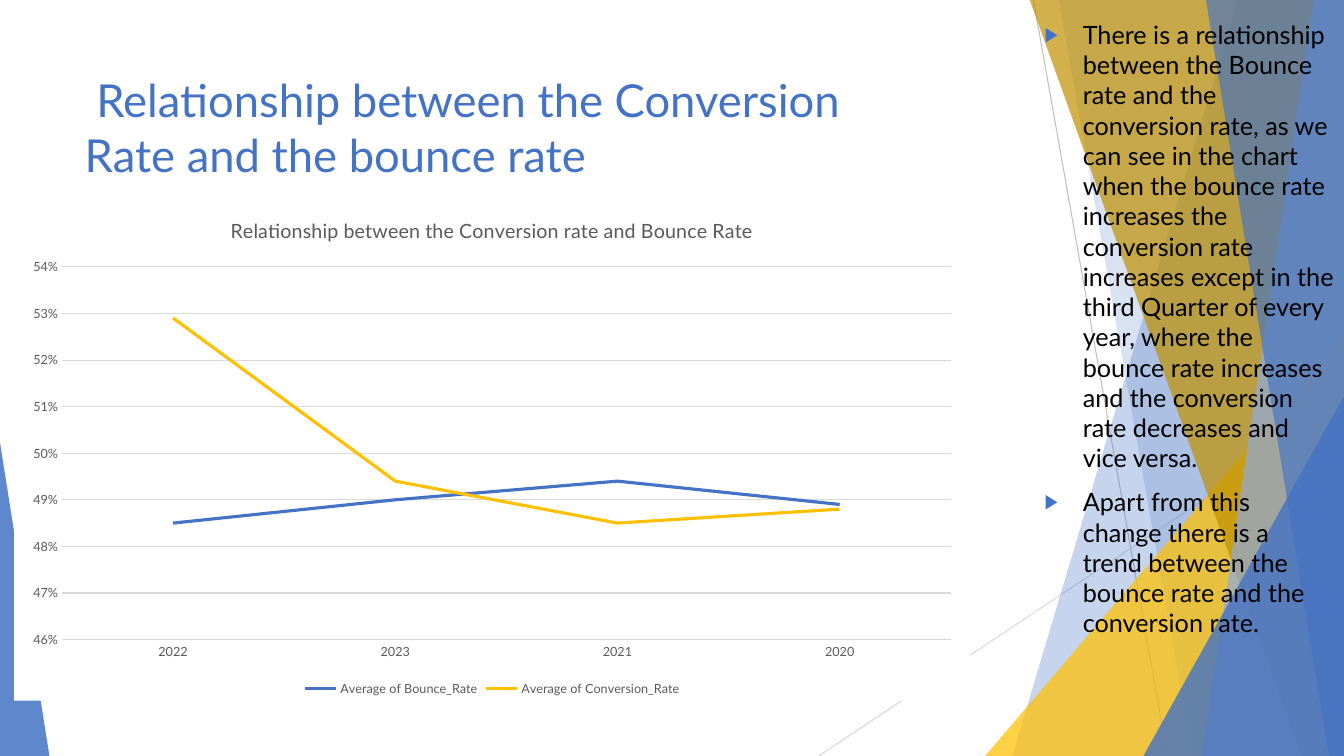
from lxml.etree import SubElement
from pptx import Presentation
from pptx.chart.data import CategoryChartData
from pptx.dml.color import RGBColor
from pptx.enum.chart import XL_CHART_TYPE as ChartType, XL_LEGEND_POSITION as LegendPosition, XL_TICK_MARK as TickMark
from pptx.enum.shapes import MSO_CONNECTOR as Connector, MSO_SHAPE as Shape
from pptx.enum.text import MSO_ANCHOR as Anchor, MSO_AUTO_SIZE as AutoSize, PP_ALIGN as Align
from pptx.oxml import parse_xml
from pptx.oxml.ns import nsdecls, qn
from pptx.util import Inches, Pt

BLUE = RGBColor(0x44, 0x72, 0xC4)
PALE_BLUE = RGBColor(0x8F, 0xAA, 0xDC)
GOLD = RGBColor(0xFF, 0xC0, 0x00)
DARK_GOLD = RGBColor(0xBF, 0x90, 0x00)
BLACK = RGBColor(0x00, 0x00, 0x00)
GREY = RGBColor(0x59, 0x59, 0x59)
MID_GREY = RGBColor(0xBF, 0xBF, 0xBF)
LIGHT_GREY = RGBColor(0xD9, 0xD9, 0xD9)
FONT = "Lato"

CELL = Inches(0.01)
COLUMNS, ROWS = 1333, 750


def place(placeholder, left, top, width, height):
    placeholder.left, placeholder.top = left * CELL, top * CELL
    placeholder.width, placeholder.height = width * CELL, height * CELL
    frame = placeholder.text_frame
    frame.word_wrap = True
    frame.auto_size = AutoSize.NONE
    frame.vertical_anchor = Anchor.TOP
    return frame


def set_font(font, size, colour):
    font.name, font.size, font.bold = FONT, Pt(size), False
    font.color.rgb = colour


deck = Presentation()
deck.slide_width, deck.slide_height = COLUMNS * CELL, ROWS * CELL
slide = deck.slides.add_slide(deck.slide_layouts[1])
shapes = slide.shapes

for ends, colour in [((1025, 0, 1158, ROWS), MID_GREY), ((COLUMNS, 403, 812, ROWS), LIGHT_GREY)]:
    ray = shapes.add_connector(Connector.STRAIGHT, *[end * CELL for end in ends])
    ray.line.color.rgb, ray.line.width = colour, Pt(0.75)
    SubElement(ray.element.spPr, qn("a:effectLst"))

facets = [
    ("band", (1228, 1004), BLUE, 30),
    ("band", (1050, 1183), BLUE, 20),
    ("wedge", (977, 333, 356, 1), GOLD, 72),
    ("band", (1021, 1291), DARK_GOLD, 70),
    ("band", (1303, 1192), PALE_BLUE, 70),
    ("band", (1196, 1318), BLUE, 65),
    ("wedge", (1134, 393, 199, 1), BLUE, 80),
    ("wedge", (0, 439, 49, 0), BLUE, 85),
]
for kind, geometry, colour, opacity in facets:
    if kind == "band":
        top_x, bottom_x = geometry
        outline = shapes.build_freeform(top_x, -1, scale=CELL)
        outline.add_line_segments([(COLUMNS, -1), (COLUMNS, ROWS), (bottom_x, ROWS)], close=True)
        facet = outline.convert_to_shape()
    else:
        left, top, width, peak = geometry
        facet = shapes.add_shape(Shape.ISOSCELES_TRIANGLE, left * CELL, top * CELL, width * CELL, (ROWS - top) * CELL)
        facet.adjustments[0] = peak
    facet.shadow.inherit = False
    facet.line.fill.background()
    facet.fill.solid()
    facet.fill.fore_color.rgb = colour
    tint = facet.element.spPr.find(qn("a:solidFill"))[0]
    SubElement(tint, qn("a:alpha"), val=str(opacity * 1000))

heading, findings = shapes.title, slide.placeholders[1]
for placeholder in (heading, findings):
    placeholder.element.getparent().append(placeholder.element)

heading_frame = place(heading, 74, 67, 869, 112)
heading_frame.text = " Relationship between the Conversion Rate and the bounce rate"
heading_line = heading_frame.paragraphs[0]
heading_line.alignment = Align.LEFT
set_font(heading_line.font, 32.4, BLUE)

findings_frame = place(findings, 1026, 14, 307, 708)
findings_frame.text = "\n".join([
    "There is a relationship between the Bounce rate and the conversion rate, as we can see in the chart "
    "when the bounce rate increases the conversion rate increases except in the third Quarter of every year, "
    "where the bounce rate increases and the conversion rate decreases and vice versa.",
    "Apart from this change there is a trend between the bounce rate and the conversion rate.",
])
for finding in findings_frame.paragraphs:
    properties = finding._p.get_or_add_pPr()
    properties.set("marL", str(38 * CELL))
    properties.set("indent", str(-38 * CELL))
    SubElement(SubElement(properties, qn("a:buClr")), qn("a:srgbClr"), val=str(BLUE))
    SubElement(properties, qn("a:buSzPct"), val="80000")
    SubElement(properties, qn("a:buFont"), typeface="Arial")
    SubElement(properties, qn("a:buChar"), char="▶")
    finding.alignment = Align.LEFT
    finding.space_before = Pt(10)
    set_font(finding.font, 18, BLACK)

rates = CategoryChartData(number_format="0%")
rates.categories = ["2022", "2023", "2021", "2020"]
rates.add_series("Average of Bounce_Rate", (0.485, 0.49, 0.494, 0.489))
rates.add_series("Average of Conversion_Rate", (0.529, 0.494, 0.485, 0.488))
chart = shapes.add_chart(ChartType.LINE, 14 * CELL, 196 * CELL, 948 * CELL, 499 * CELL, rates).chart
set_font(chart.font, 10, BLACK)
chart.element.find(qn("c:chart")).addnext(parse_xml(
    f'<c:spPr {nsdecls("c", "a")}><a:solidFill><a:srgbClr val="FFFFFF"/></a:solidFill>'
    "<a:ln><a:noFill/></a:ln></c:spPr>"
))

chart.has_title = True
chart.chart_title.include_in_layout = False
chart.chart_title.text_frame.text = "Relationship between the Conversion rate and Bounce Rate"
set_font(chart.chart_title.text_frame.paragraphs[0].font, 14, GREY)

chart.has_legend = True
chart.legend.position = LegendPosition.BOTTOM
chart.legend.include_in_layout = False
set_font(chart.legend.font, 9, GREY)

years, percent = chart.category_axis, chart.value_axis
for axis in (years, percent):
    axis.major_tick_mark = axis.minor_tick_mark = TickMark.NONE
    set_font(axis.tick_labels.font, 9, GREY)
percent.minimum_scale, percent.maximum_scale, percent.major_unit = 0.46, 0.54, 0.01
percent.tick_labels.number_format = "0%"
percent.tick_labels.number_format_is_linked = False
percent.format.line.fill.background()
percent.has_major_gridlines = True
for rule in (years.format.line, percent.major_gridlines.format.line):
    rule.color.rgb, rule.width = LIGHT_GREY, Pt(0.75)

plot = chart.plots[0]
plot.vary_by_categories = False
for series, colour in zip(plot.series, (BLUE, GOLD)):
    series.smooth = False
    series.format.line.color.rgb, series.format.line.width = colour, Pt(2.25)

deck.save("out.pptx")
